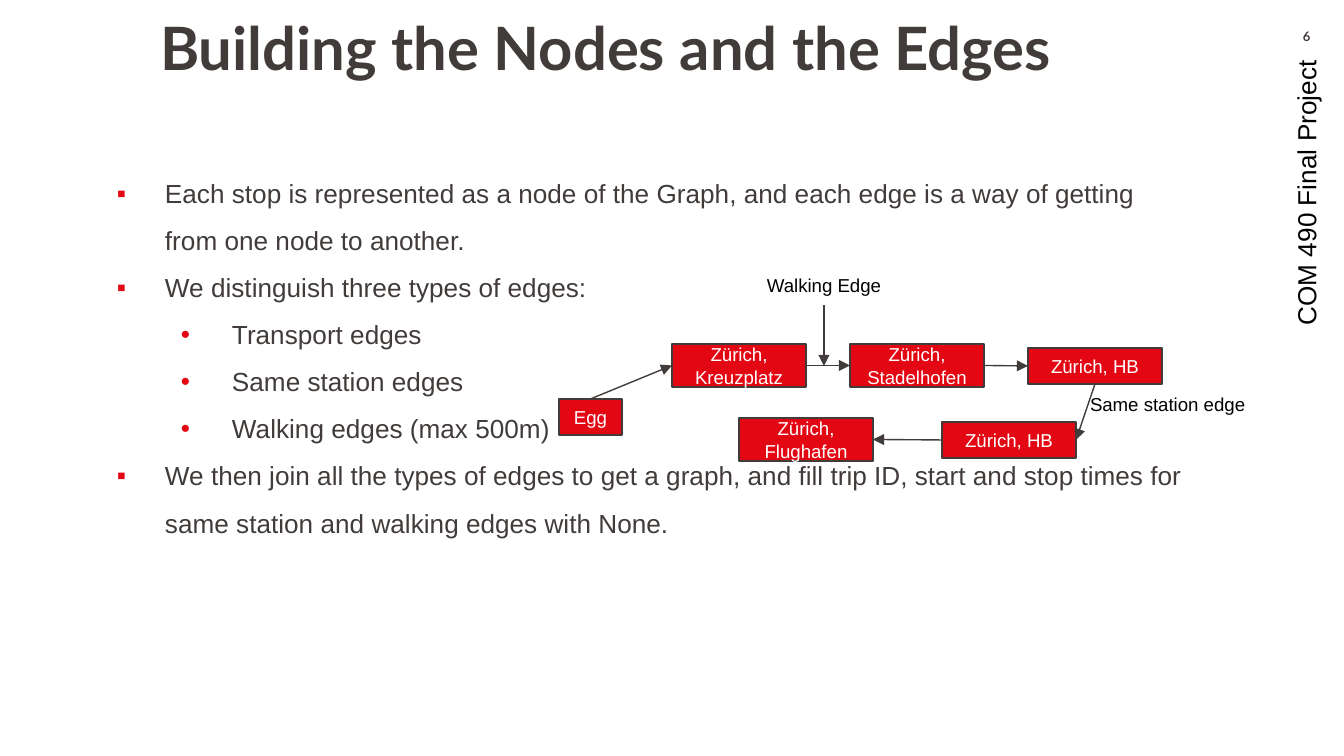
from lxml import etree
from pptx import Presentation
from pptx.dml.color import RGBColor
from pptx.enum.shapes import MSO_CONNECTOR, MSO_SHAPE
from pptx.enum.text import MSO_ANCHOR, PP_ALIGN
from pptx.oxml.ns import qn
from pptx.util import Pt

STRAIGHT, RECT = MSO_CONNECTOR.STRAIGHT, MSO_SHAPE.RECTANGLE
TOP, MIDDLE = MSO_ANCHOR.TOP, MSO_ANCHOR.MIDDLE
LEFT, CENTER = PP_ALIGN.LEFT, PP_ALIGN.CENTER
RED = RGBColor(0xE3, 0x06, 0x13)
DARK = RGBColor(0x41, 0x3C, 0x3A)
BLACK = RGBColor(0, 0, 0)
WHITE = RGBColor(255, 255, 255)
SCALE = 914400 / 134.4

TITLE_FONT = {"name": "Lato", "size": Pt(32), "bold": True, "color": DARK}
NUMBER_FONT = {"name": "Lato", "size": Pt(7), "bold": True, "color": DARK}
BODY_FONT = {"name": "Arial", "size": Pt(14), "color": DARK}
SIDE_FONT = {"name": "Arial", "size": Pt(14), "color": BLACK}
LABEL_FONT = {"name": "Arial", "size": Pt(10), "color": BLACK}
NODE_FONT = {"name": "Arial", "size": Pt(10), "color": WHITE}

TITLE = "Building the Nodes and the Edges"
BODY = [
    (0, "Each stop is represented as a node of the Graph, and each edge is a way of getting from one node to another."),
    (0, "We distinguish three types of edges:"),
    (1, "Transport edges"),
    (1, "Same station edges"),
    (1, "Walking edges (max 500m)"),
    (0, "We then join all the types of edges to get a graph, and fill trip ID, start and stop times for same station and walking edges with None."),
]
BULLETS = [("▪", 67, -48), ("•", 134, -51)]
NODES = {
    "egg": ("Egg", 559, 399, 63, 36),
    "kreuzplatz": ("Zürich, Kreuzplatz", 672, 344, 134, 43),
    "stadelhofen": ("Zürich, Stadelhofen", 850, 344, 134, 43),
    "hb_arrival": ("Zürich, HB", 1028, 348, 134, 36),
    "hb_departure": ("Zürich, HB", 942, 422, 134, 36),
    "flughafen": ("Zürich, Flughafen", 739, 418, 134, 43),
}
EDGES = [
    ("egg", 0, "kreuzplatz", 1),
    ("kreuzplatz", 3, "stadelhofen", 1),
    ("stadelhofen", 3, "hb_arrival", 1),
    ("hb_arrival", 2, "hb_departure", 3),
    ("hb_departure", 1, "flughafen", 3),
]
WALKING_POINTER = (824, 305, 824, 366)


def px(*values):
    return [round(v * SCALE) for v in values]


def write(p, text, font):
    r = p.add_run()
    r.text = text
    for key, value in font.items():
        if key == "color":
            r.font.color.rgb = value
        else:
            setattr(r.font, key, value)


def setup_frame(tf, insets, anchor):
    sides = ("margin_left", "margin_top", "margin_right", "margin_bottom")
    for side, value in zip(sides, px(*insets)):
        setattr(tf, side, value)
    tf.word_wrap = True
    tf.vertical_anchor = anchor


def add_text(slide, text, box, font, insets=(13, 13, 13, 13), anchor=TOP, align=LEFT):
    sp = slide.shapes.add_textbox(*px(*box))
    setup_frame(sp.text_frame, insets, anchor)
    p = sp.text_frame.paragraphs[0]
    p.alignment = align
    write(p, text, font)
    return sp


def add_body(slide):
    tf = slide.shapes.add_textbox(*px(71, 155, 1136, 504)).text_frame
    setup_frame(tf, (27, 7, 13, 7), TOP)
    for i, (level, text) in enumerate(BODY):
        p = tf.add_paragraph() if i else tf.paragraphs[0]
        char, margin, indent = BULLETS[level]
        p.level = level
        pPr = p._p.get_or_add_pPr()
        for key, value in zip(("marL", "indent"), px(margin, indent)):
            pPr.set(key, str(value))
        color = etree.SubElement(pPr, qn("a:buClr"))
        etree.SubElement(color, qn("a:srgbClr"), val=str(RED))
        etree.SubElement(pPr, qn("a:buFont"), typeface="Arial")
        etree.SubElement(pPr, qn("a:buChar"), char=char)
        p.line_spacing = 1.5
        write(p, text, BODY_FONT)


def add_node(slide, text, *box):
    sp = slide.shapes.add_shape(RECT, *px(*box))
    sp.shadow.inherit = False
    sp.fill.solid()
    sp.fill.fore_color.rgb = RED
    sp.line.color.rgb = DARK
    sp.line.width = Pt(0.75)
    setup_frame(sp.text_frame, (13, 13, 13, 13), MIDDLE)
    p = sp.text_frame.paragraphs[0]
    p.alignment = CENTER
    write(p, text, NODE_FONT)
    return sp


def add_arrow(slide, *ends):
    line = slide.shapes.add_connector(STRAIGHT, *px(*ends))
    line.line.color.rgb = DARK
    line.line.width = Pt(0.75)
    etree.SubElement(line.line._get_or_add_ln(), qn("a:tailEnd"), type="triangle")
    etree.SubElement(line._element.spPr, qn("a:effectLst"))
    return line


def main():
    """Build the slide on the nodes and edges of the transport graph."""
    prs = Presentation()
    prs.slide_width, prs.slide_height = px(1344, 756)
    slide = prs.slides.add_slide(prs.slide_layouts[6])

    side = add_text(slide, "COM 490 Final Project", (1154, 149, 304, 75), SIDE_FONT, (13, 7, 13, 7), MIDDLE)
    side.rotation = 270
    title = add_text(slide, TITLE, (133, 19, 1136, 77), TITLE_FONT, (27, 0, 11, 7))
    title.text_frame.paragraphs[0].line_spacing = 0.9
    add_text(slide, "6", (1269, 28, 75, 24), NUMBER_FONT, (13, 0, 13, 0), align=CENTER)
    add_body(slide)

    nodes = {key: add_node(slide, *node) for key, node in NODES.items()}
    for source, start, target, end in EDGES:
        line = add_arrow(slide, 0, 0, 0, 0)
        line.begin_connect(nodes[source], start)
        line.end_connect(nodes[target], end)

    add_text(slide, "Walking Edge", (736, 263, 176, 50), LABEL_FONT, align=CENTER)
    add_arrow(slide, *WALKING_POINTER)
    add_text(slide, "Same station edge", (1077, 382, 199, 50), LABEL_FONT)
    prs.save("out.pptx")


if __name__ == "__main__":
    main()
